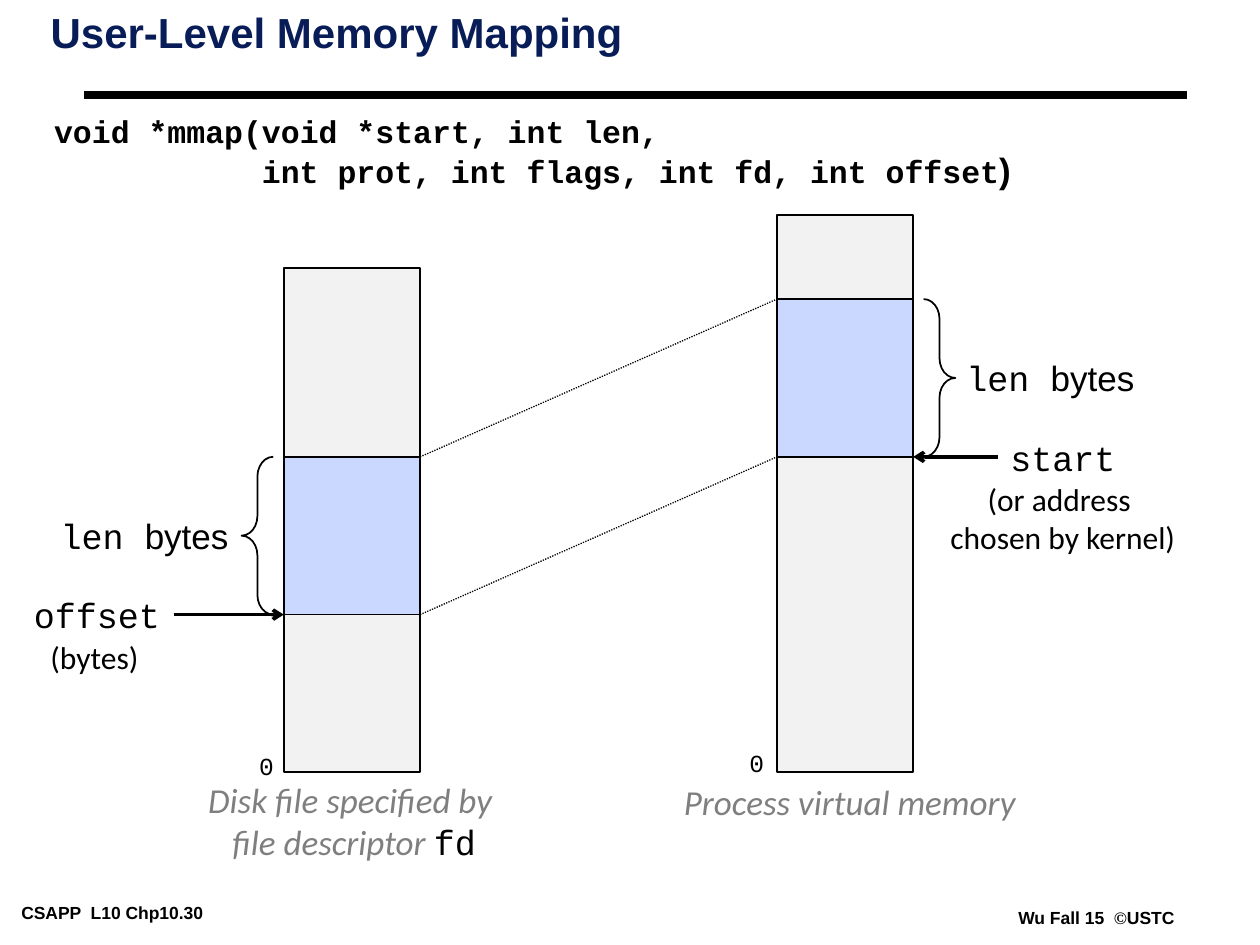
import pptx
import pptx.util
import pptx.dml.color
import pptx.enum.dml
import pptx.enum.shapes
import pptx.enum.text
import pptx.oxml
import pptx.oxml.ns

Cm = pptx.util.Cm
Pt = pptx.util.Pt
SHAPE = pptx.enum.shapes.MSO_SHAPE
ALIGN = pptx.enum.text.PP_ALIGN

SANS, MONO, HUMAN, SERIF = "Arial", "Courier New", "Calibri", "Times New Roman"
BLACK, NAVY, GREY = "000000", "081D58", "7F7F7F"
PALE, BLUE = "F2F2F2", "CAD7FE"


def color(value):
    return pptx.dml.color.RGBColor.from_string(value)


class Deck:
    def __init__(self):
        self.prs = pptx.Presentation()
        self.prs.slide_width, self.prs.slide_height = Cm(25.4), Cm(19.05)
        self.s = self.prs.slides.add_slide(self.prs.slide_layouts[1])

    def fill_text(self, tf, paragraphs, size, align, ink=BLACK, bold=False,
                  italic=False, inset=(0.25, 0.13)):
        tf.margin_left = tf.margin_right = Cm(inset[0])
        tf.margin_top = tf.margin_bottom = Cm(inset[1])
        tf.vertical_anchor = pptx.enum.text.MSO_ANCHOR.TOP
        tf.auto_size = pptx.enum.text.MSO_AUTO_SIZE.NONE
        for i, runs in enumerate(paragraphs):
            p = tf.paragraphs[0] if i == 0 else tf.add_paragraph()
            p.alignment = align
            for text, font, *changes in runs:
                r = p.add_run()
                r.text = text
                look = {"size": size, "ink": ink, "italic": italic}
                look.update(*changes)
                r.font.name = font
                r.font.size = Pt(look["size"])
                r.font.color.rgb = color(look["ink"])
                r.font.bold = bold
                r.font.italic = look["italic"]

    def placeholder(self, index, box, paragraphs, size, ink, spacing):
        sp = self.s.placeholders[index]
        sp.left, sp.top, sp.width, sp.height = map(Cm, box)
        self.fill_text(sp.text_frame, paragraphs, size, ALIGN.LEFT, ink,
                       bold=True, inset=(0.18, 0.08))
        for p in sp.text_frame.paragraphs:
            p.line_spacing = spacing
        return sp

    def title(self, box, text):
        self.placeholder(0, box, [[(text, SANS)]], 24, NAVY, 0.87)

    def body(self, box, paragraphs, indents):
        sp = self.placeholder(1, box, paragraphs, 18, BLACK, 0.94)
        for p, indent in zip(sp.text_frame.paragraphs, indents):
            p.space_before = Pt(1)
            pPr = p._p.get_or_add_pPr()
            pPr.set("marL", str(Cm(indent)))
            pPr.set("indent", "0")
            pPr.append(pptx.oxml.parse_xml(
                "<a:buNone %s/>" % pptx.oxml.ns.nsdecls("a")))

    def text(self, box, paragraphs, size=20, align=ALIGN.CENTER, **look):
        tf = self.s.shapes.add_textbox(*map(Cm, box)).text_frame
        tf.word_wrap = False
        self.fill_text(tf, paragraphs, size, align, **look)

    def footer(self, box, runs):
        self.text(box, [runs], 10, ALIGN.LEFT, bold=True, inset=(0.18, 0.08))

    def shape(self, kind, box, fill=None):
        sp = self.s.shapes.add_shape(kind, *map(Cm, box))
        sp.shadow.inherit = False
        if fill:
            sp.fill.solid()
            sp.fill.fore_color.rgb = color(fill)
        else:
            sp.fill.background()
        sp.line.color.rgb = color(BLACK)
        sp.line.width = Pt(1)
        return sp

    def brace(self, kind, left, top, height):
        sp = self.shape(kind, (left, top, 0.64, height))
        sp.adjustments[0] = 0.62

    def line(self, start, end, width, dotted=False, arrow=False):
        cx = self.s.shapes.add_connector(
            pptx.enum.shapes.MSO_CONNECTOR.STRAIGHT, *map(Cm, start + end))
        cx.line.color.rgb = color(BLACK)
        cx.line.width = Pt(width)
        if dotted:
            cx.line.dash_style = pptx.enum.dml.MSO_LINE.ROUND_DOT
        ns = pptx.oxml.ns.nsdecls("a")
        if arrow:
            cx.line._get_or_add_ln().append(
                pptx.oxml.parse_xml('<a:tailEnd %s type="arrow"/>' % ns))
        cx._element.spPr.append(pptx.oxml.parse_xml("<a:effectLst %s/>" % ns))


def main():
    d = Deck()
    d.footer((0.25, 18.11, 5.33, 0.56), [("CSAPP  L10 Chp10.30", SANS)])
    d.footer((20.35, 18.21, 3.51, 0.56),
             [("Wu Fall 15  ", SANS), ("©", SERIF), ("USTC", SANS)])
    d.line((1.7, 1.91), (23.93, 1.91), 4.5)
    d.title((0.84, 0.2, 20.17, 1.6), "User-Level Memory Mapping")
    d.body((0.91, 2.24, 23.09, 2.31),
           [[("void *mmap(void *start, int len,", MONO)],
            [("int prot, int flags, int fd, int offset", MONO),
             (")", SANS, {"size": 20})]],
           (0, 4.19))

    bar, bottom, length = 2.75, 15.56, 3.18
    file_left, file_top, file_map = 5.72, 5.4, 9.21
    mem_left, mem_top, mem_map = 15.66, 4.34, 6.03
    for left, top, mapped in ((file_left, file_top, file_map),
                              (mem_left, mem_top, mem_map)):
        d.shape(SHAPE.RECTANGLE, (left, top, bar, bottom - top), PALE)
        d.shape(SHAPE.RECTANGLE, (left, mapped, bar, length), BLUE)
    for offset in (0, length):
        d.line((file_left + bar, file_map + offset),
               (mem_left, mem_map + offset), 0.75, dotted=True)

    d.brace(SHAPE.LEFT_BRACE, 4.87, file_map, length)
    d.brace(SHAPE.RIGHT_BRACE, 18.62, mem_map, length)
    for left, top in ((0.97, 10.24), (19.23, 7.06)):
        d.text((left, top, 3.89, 1.12), [[("len ", MONO), ("bytes", SANS)]])

    file_start, mem_start = file_map + length, mem_map + length
    d.line((3.5, file_start), (file_left, file_start), 2, arrow=True)
    d.line((20.12, mem_start), (mem_left + bar, mem_start), 2, arrow=True)
    d.text((0.43, 11.84, 3.05, 1.12), [[("offset", MONO)]])
    d.text((20.12, 8.66, 2.62, 1.12), [[("start", MONO)]])
    d.text((0.76, 12.73, 2.29, 1.02), [[("(bytes)", HUMAN)]], 18)
    d.text((18.9, 9.55, 5.05, 1.78),
           [[("(or address ", HUMAN)], [("chosen by kernel)", HUMAN)]], 18)

    d.text((3.94, 15.57, 6.4, 1.96),
           [[("Disk file specified by ", HUMAN)],
            [("file descriptor ", HUMAN),
             ("fd", MONO, {"ink": BLACK, "italic": False})]],
           ink=GREY, italic=True)
    d.text((13.54, 15.6, 7.19, 1.12), [[("Process virtual memory", HUMAN)]],
           ink=GREY, italic=True)
    for left, top in ((4.98, 15.01), (14.86, 14.94)):
        d.text((left, top, 0.79, 0.86), [[("0", MONO)]], 14)
    d.prs.save("out.pptx")


if __name__ == "__main__":
    main()
